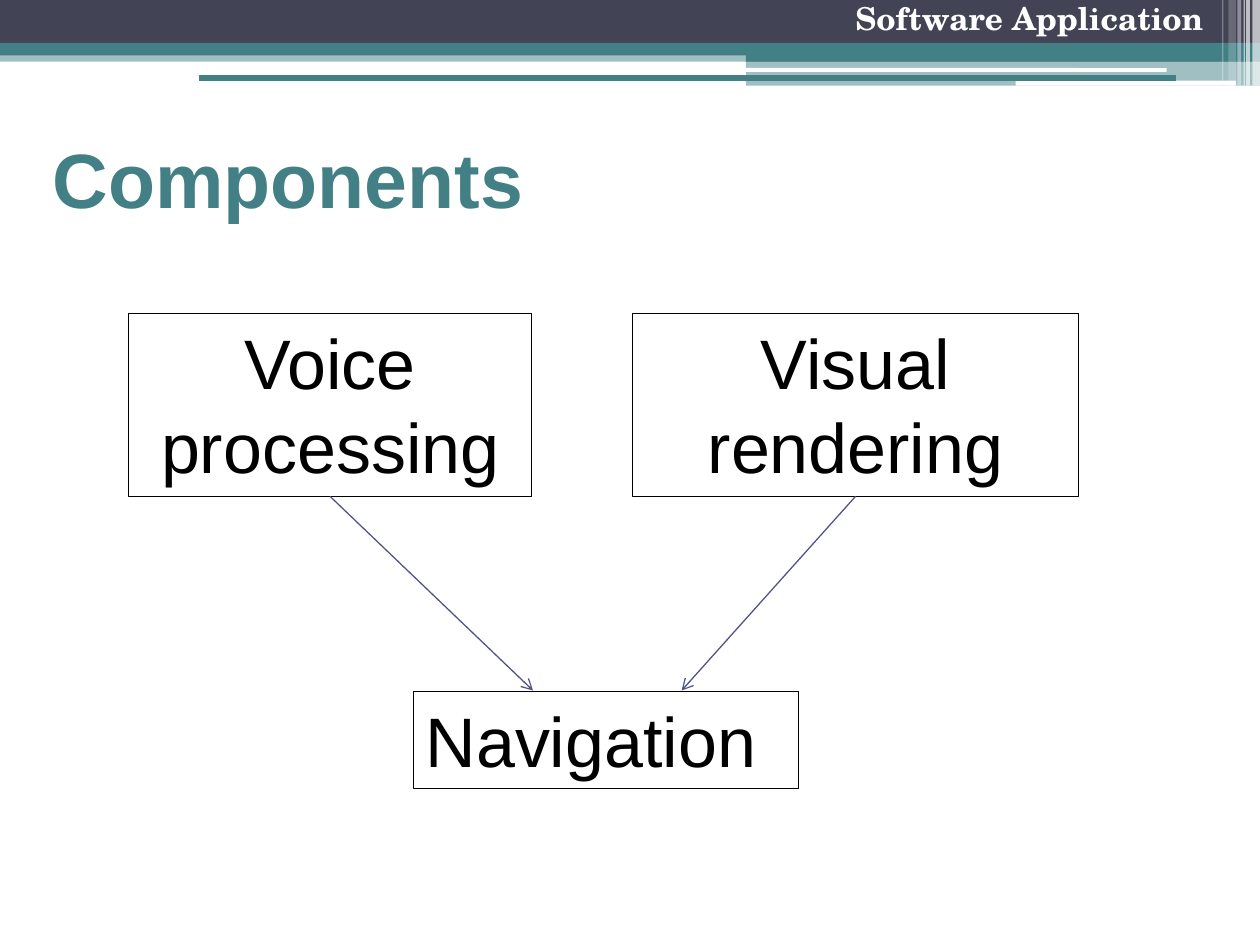
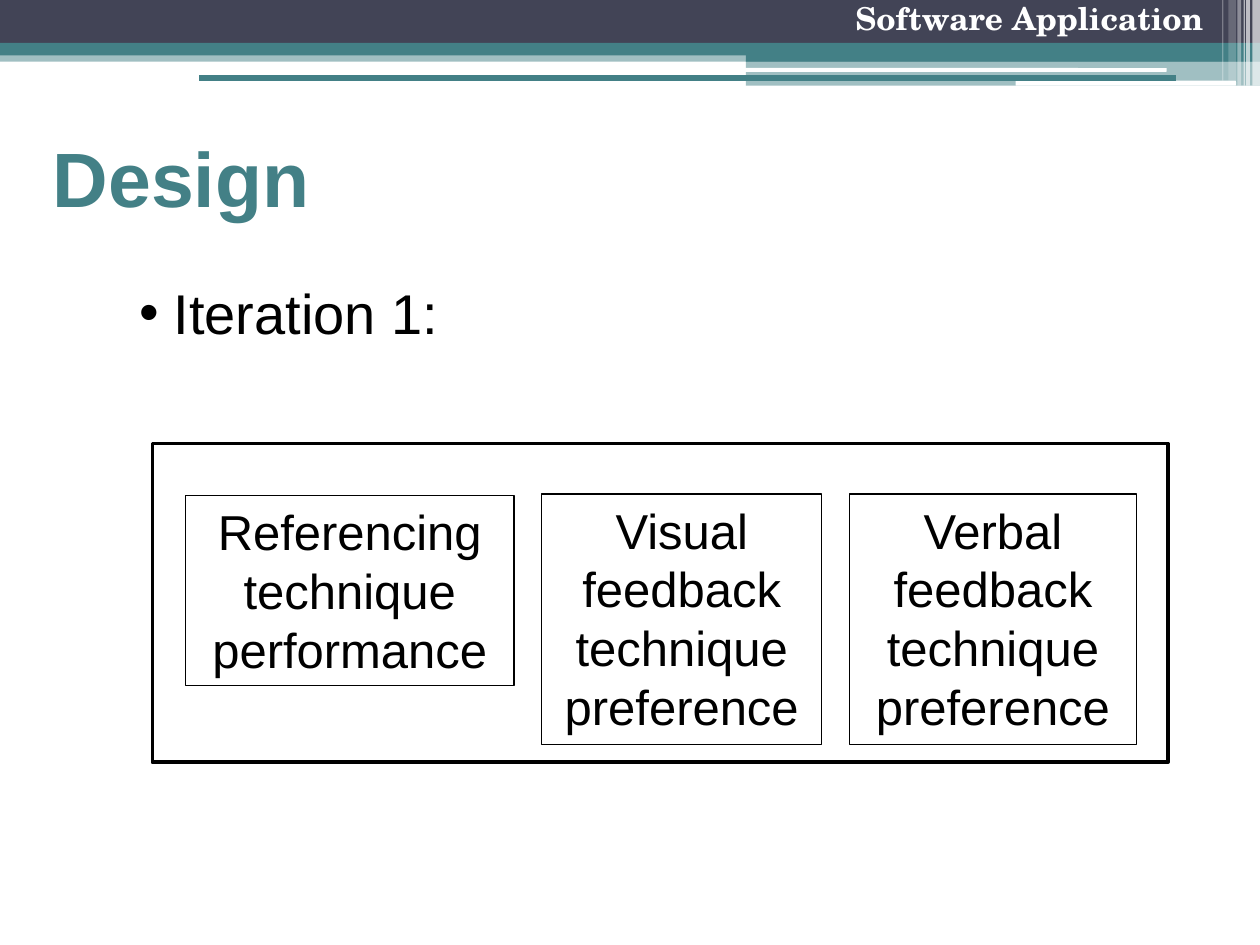
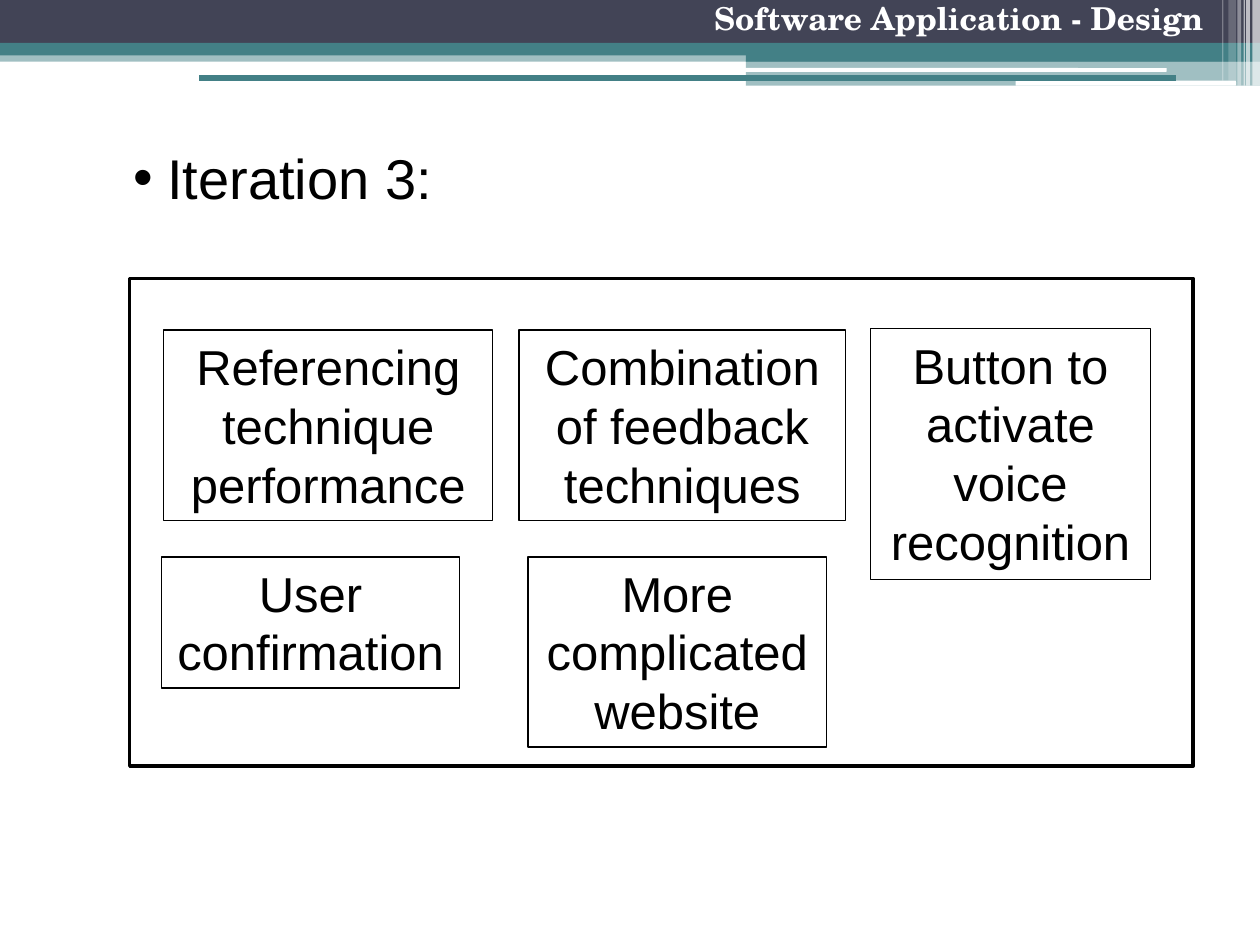
from lxml import etree
from pptx import Presentation
from pptx.dml.color import RGBColor
from pptx.enum.shapes import MSO_CONNECTOR, MSO_SHAPE
from pptx.enum.text import MSO_ANCHOR, MSO_AUTO_SIZE, PP_ALIGN
from pptx.oxml.ns import qn
from pptx.util import Inches, Pt

RECT, ROUND = MSO_SHAPE.RECTANGLE, MSO_SHAPE.ROUNDED_RECTANGLE
STRAIGHT = MSO_CONNECTOR.STRAIGHT
LEFT, CENTER, RIGHT = PP_ALIGN.LEFT, PP_ALIGN.CENTER, PP_ALIGN.RIGHT
TOP, MIDDLE = MSO_ANCHOR.TOP, MSO_ANCHOR.MIDDLE
GROW = MSO_AUTO_SIZE.SHAPE_TO_FIT_TEXT
BOTTOM_SITE = 2

COLORS = {"teal": "438086", "navy": "424456", "white": "FFFFFF",
          "black": "000000", "arrow": "53548A"}
BODY, HEADER = "Arial", "TeX Gyre Schola"
COLS, ROWS = 100, 75  # square grid cells

# Bands shared by all slides: position, colour, opacity in percent
BANDS = [
    ((0, 4, 100, 0.9), "teal", 50),
    ((0, 0, 100, 3.4), "navy", 100),
    ((0, 3.4, 100, 1), "teal", 100),
    ((59.2, 3.9, 40.8, 1), "teal", 100),
    ((59.2, 4.8, 40.8, 2), "teal", 50),
]
SLITS = [(59.1, 5.4, 33.5, 0.3), (80.6, 6.4, 17.5, 0.4)]
# Vertical stripes at the right edge: left, width, height, opacity
STRIPES = [(99.4, 0.6, 6.8, 65), (98.9, 0.3, 6.8, 65), (98.7, 0.1, 6.8, 60),
           (98.2, 0.3, 6.8, 40), (97.5, 0.6, 6.4, 20), (97, 0.1, 6.4, 30)]


class Deck:
    def __init__(self):
        self.prs = Presentation()
        self.prs.slide_width, self.prs.slide_height = Inches(10), Inches(7.5)
        self.shapes = None

    def grid(self, x, y, *size):
        """Turn columns and rows into lengths."""
        cw, rh = self.prs.slide_width / COLS, self.prs.slide_height / ROWS
        return [round(v * (rh if i % 2 else cw))
                for i, v in enumerate((x, y, *size))]

    def slide(self, header):
        self.shapes = self.prs.slides.add_slide(
            self.prs.slide_layouts[6]).shapes
        for at, color, alpha in BANDS:
            self.shape(at, color, alpha)
        for at in SLITS:
            self.shape(at, "white", kind=ROUND)
        for x, w, h, alpha in STRIPES:
            self.shape((x, 0, w, h), "white", alpha)
        tf = self.textbox((38.2, 0, 58.3, 5))
        p = self.paragraph(tf, header, 18, "white", RIGHT, True, HEADER)
        p.line_spacing, p.space_before = 0.8, Pt(3.6)
        self.indent(p, 0.3, -0.3)
        self.line((15.8, 6.2), (93.3, 6.2), "teal", 3)

    def shape(self, at, fill=None, alpha=100, kind=RECT):
        sp = self.shapes.add_shape(kind, *self.grid(*at))
        sp.shadow.inherit = False
        sp.line.fill.background()
        if fill is None:
            sp.fill.background()
            return sp
        sp.fill.solid()
        sp.fill.fore_color.rgb = RGBColor.from_string(COLORS[fill])
        if alpha < 100:
            clr = sp.fill._xPr.find(qn("a:solidFill"))[0]
            etree.SubElement(clr, qn("a:alpha")).set("val", str(alpha * 1000))
        return sp

    def frame(self, at, width=2):
        sp = self.shape(at)
        sp.line.color.rgb = RGBColor.from_string(COLORS["black"])
        sp.line.width = Pt(width)
        return sp

    def box(self, at, *lines, size=28, align=CENTER):
        sp = self.frame(at, 0.75)
        tf = sp.text_frame
        tf.word_wrap, tf.auto_size, tf.vertical_anchor = True, GROW, TOP
        for text in lines:
            self.paragraph(tf, text, size, align=align)
        return sp

    def textbox(self, at, anchor=TOP):
        tf = self.shapes.add_textbox(*self.grid(*at)).text_frame
        tf.word_wrap, tf.vertical_anchor = True, anchor
        return tf

    def paragraph(self, tf, text, size, color="black", align=LEFT,
                  bold=False, font=BODY):
        p = tf.paragraphs[0]
        if p.runs:
            p = tf.add_paragraph()
        p.alignment = align
        r = p.add_run()
        r.text = text
        r.font.size, r.font.name, r.font.bold = Pt(size), font, bold
        r.font.color.rgb = RGBColor.from_string(COLORS[color])
        return p

    def indent(self, p, left, first):
        pPr = p._p.get_or_add_pPr()
        pPr.set("marL", str(Inches(left)))
        pPr.set("indent", str(Inches(first)))
        return pPr

    def title(self, text, y):
        tf = self.textbox((3.2, y, 68.4, 11.8), MIDDLE)
        self.paragraph(tf, text, 44, "teal", bold=True)

    def bullet(self, at, text):
        p = self.paragraph(self.textbox(at), text, 32)
        p.level, p.space_before = 1, Pt(3)
        pPr = self.indent(p, 0.72, -0.27)
        etree.SubElement(pPr, qn("a:buFont")).set("typeface", BODY)
        etree.SubElement(pPr, qn("a:buChar")).set("char", "•")

    def line(self, start, end, color, width, arrow=False):
        c = self.shapes.add_connector(
            STRAIGHT, *self.grid(*start), *self.grid(*end))
        c.line.color.rgb = RGBColor.from_string(COLORS[color])
        c.line.width = Pt(width)
        spPr = c._element.spPr
        if arrow:
            ln = spPr.find(qn("a:ln"))
            etree.SubElement(ln, qn("a:tailEnd")).set("type", "arrow")
        etree.SubElement(spPr, qn("a:effectLst"))
        return c


def components(deck):
    deck.slide("Software Application")
    deck.title("Components", 8.2)
    voice = deck.box((10.2, 24.9, 32, 14.5), "Voice processing", size=40)
    visual = deck.box((50.2, 24.9, 35.4, 14.5), "Visual rendering", size=40)
    deck.box((32.8, 54.9, 30.6, 7.7), "Navigation", size=40, align=LEFT)
    for source, start, end in [(voice, 26.1, 42.3), (visual, 67.9, 54.1)]:
        c = deck.line((start, 39.4), (end, 54.8), "arrow", 0.75, True)
        c.begin_connect(source, BOTTOM_SITE)


def first_iteration(deck):
    deck.slide("Software Application")
    deck.bullet((5.6, 21.6, 90.5, 7.4), "Iteration 1:")
    deck.title("Design", 8.1)
    deck.box((14.7, 39.3, 26.1, 15.1), "Referencing technique performance")
    deck.box((67.4, 39.2, 22.8, 19.9),
             "Verbal feedback", "technique", "preference")
    deck.box((43, 39.2, 22.2, 19.9),
             "Visual feedback technique", "preference")
    deck.frame((12.1, 35.2, 80.6, 25.3))


def third_iteration(deck):
    deck.slide("Software Application - Design")
    deck.bullet((5.1, 10.9, 91.5, 8.1), "Iteration 3:")
    deck.frame((10.3, 22.1, 84.4, 38.7))
    for at, text in [
        ((13, 26.2, 26.1, 15.1), "Referencing technique performance"),
        ((41.2, 26.2, 25.9, 15.1), "Combination of feedback techniques"),
        ((69.1, 26.1, 22.2, 19.9), "Button to activate voice recognition"),
        ((12.8, 44.2, 23.7, 10.4), "User confirmation"),
        ((41.9, 44.2, 23.7, 15.1), "More complicated website"),
    ]:
        deck.box(at, text)


def main():
    deck = Deck()
    components(deck)
    first_iteration(deck)
    third_iteration(deck)
    deck.prs.save("out.pptx")


if __name__ == "__main__":
    main()
